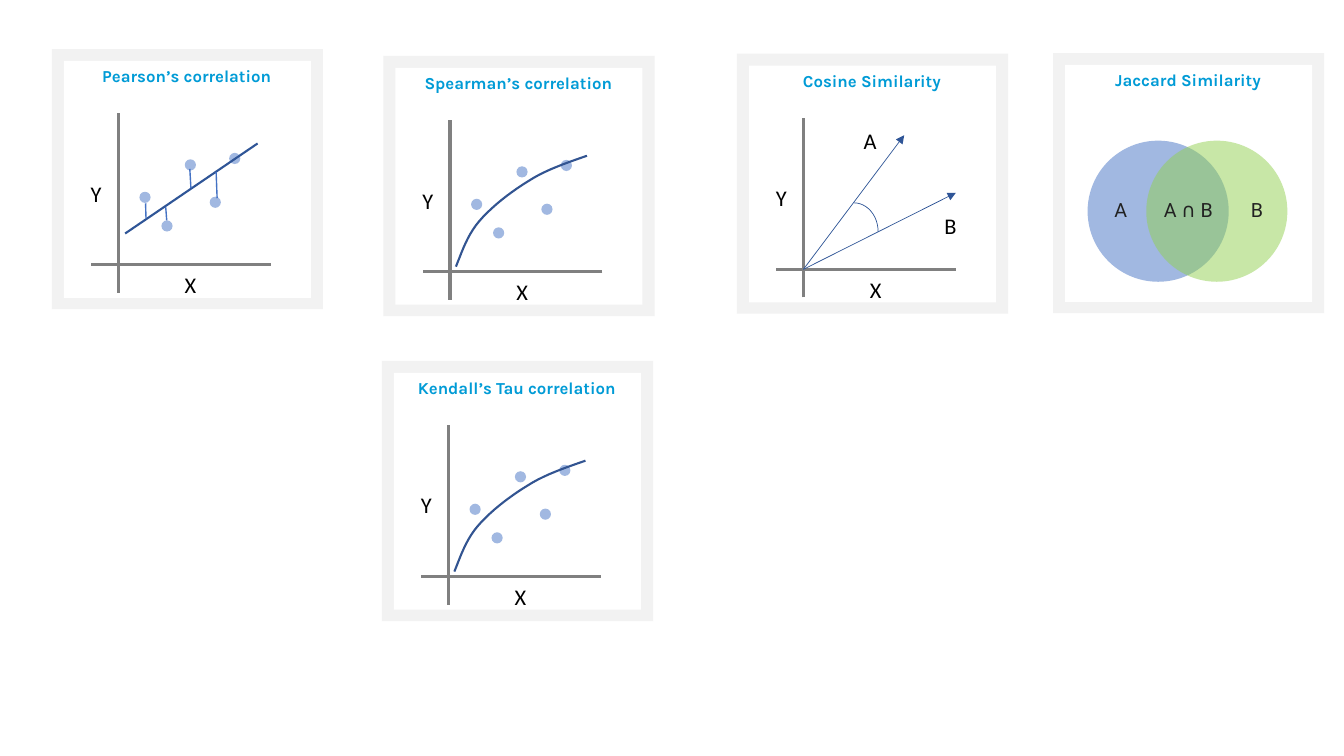
"""Build a slide of five cards on correlation and similarity measures."""
from lxml.etree import SubElement
from pptx import Presentation
from pptx.dml.color import RGBColor
from pptx.enum.shapes import MSO_CONNECTOR, MSO_SHAPE
from pptx.enum.text import PP_ALIGN
from pptx.oxml.ns import qn
from pptx.util import Pt

HUES = {
    "frame": "F2F2F2", "white": "FFFFFF", "title": "009BD6", "axis": "808080",
    "navy": "2F5597", "curve": "325491", "blue": "4472C4", "green": "92D050",
    "black": "000000", "ink": "222222",
}
CARD = (193.7, 185.8)
INNER = (176.4, 169.2)
ROOT = (47.5, 154.1)
DOTS = [(62.6, 102), (78.3, 122.4), (95, 78.8), (112.8, 105.5), (126.7, 74.2)]
GAPS = [((98.6, 85.7), (99.4, 99.4)), ((117.4, 87.8), (118.1, 106.6)),
        ((81.4, 113), (82.1, 122.4)), ((67, 110.2), (67.3, 121))]
BENDS = [
    ((51.8, 150.5), (56.2, 139.7), (59.8, 128.2), (68.4, 118.1)),
    ((68.4, 118.1), (77, 108), (90.7, 97.2), (103.7, 89.3)),
    ((103.7, 89.3), (115.9, 81.4), (131, 76.3), (145.4, 71.3)),
]
STEPS = 10


def tint(name):
    """Return the named colour."""
    return RGBColor.from_string(HUES[name])


def shift(box, spot):
    """Return a spot given relative to a box as slide lengths."""
    return Pt(box[0] + spot[0]), Pt(box[1] + spot[1])


def text(slide, box, spot, size, words, font="Calibri", points=16,
         hue="black", bold=False, align=PP_ALIGN.LEFT):
    """Add a text box with one formatted line."""
    frame = slide.shapes.add_textbox(*shift(box, spot), *map(Pt, size)).text_frame
    frame.word_wrap = True
    para = frame.paragraphs[0]
    para.alignment = align
    run = para.add_run()
    run.text = words
    run.font.name = font
    run.font.size = Pt(points)
    run.font.bold = bold
    run.font.color.rgb = tint(hue)


def solid(slide, box, kind, spot, size, hue, alpha=None):
    """Add a filled shape without outline, see-through if alpha is given."""
    shape = slide.shapes.add_shape(kind, *shift(box, spot), *map(Pt, size))
    shape.shadow.inherit = False
    shape.fill.solid()
    shape.fill.fore_color.rgb = tint(hue)
    shape.line.fill.background()
    if alpha:
        clr = shape.element.spPr.find(qn("a:solidFill")).find(qn("a:srgbClr"))
        SubElement(clr, qn("a:alpha"), val=str(alpha * 1000))


def stroke(shape, hue, width):
    """Give an open shape its line and no fill."""
    shape.shadow.inherit = False
    shape.fill.background()
    shape.line.color.rgb = tint(hue)
    shape.line.width = Pt(width)


def line(slide, box, start, end, hue, width, arrow=False):
    """Add a straight line, with an arrowhead at its end if asked."""
    link = slide.shapes.add_connector(
        MSO_CONNECTOR.STRAIGHT, *shift(box, start), *shift(box, end))
    link.line.color.rgb = tint(hue)
    link.line.width = Pt(width)
    props = link.element.spPr
    if arrow:
        SubElement(props.find(qn("a:ln")), qn("a:tailEnd"), type="triangle")
    SubElement(props, qn("a:effectLst"))


def card(slide, box, title):
    """Add the framed card and its title."""
    solid(slide, box, MSO_SHAPE.RECTANGLE, (0, 0), CARD, "frame")
    solid(slide, box, MSO_SHAPE.RECTANGLE, (8.6, 8.5), INNER, "white")
    text(slide, box, (8.2, 8.5), (INNER[0], 21.8), title, font="Karla", points=12,
         hue="title", bold=True, align=PP_ALIGN.CENTER)


def axes(slide, box):
    """Add both axes and their labels."""
    line(slide, box, (ROOT[0], 174.2), (ROOT[0], 45.7), "axis", 2.25)
    line(slide, box, (156.4, ROOT[1]), (28, ROOT[1]), "axis", 2.25)
    text(slide, box, (87.8, 155.2), (24.5, 26.6), "X")
    text(slide, box, (20.7, 89.8), (24.5, 26.6), "Y")


def dots(slide, box):
    """Add the scatter of data points."""
    for spot in DOTS:
        solid(slide, box, MSO_SHAPE.OVAL, spot, (8, 8), "blue", 50)


def linear(slide, box, title):
    """Draw a scatter with a straight fit and its residuals."""
    card(slide, box, title)
    axes(slide, box)
    dots(slide, box)
    line(slide, box, (52.4, 131.8), (147, 67.5), "navy", 1.5)
    for start, end in GAPS:
        line(slide, box, start, end, "blue", 1)


def bezier(bend, t):
    """Return the point at t on a cubic curve."""
    parts = ((1 - t) ** 3, 3 * t * (1 - t) ** 2, 3 * t * t * (1 - t), t ** 3)
    return tuple(sum(p * c for p, c in zip(parts, axis)) for axis in zip(*bend))


def curved(slide, box, title):
    """Draw a scatter with a curved fit."""
    card(slide, box, title)
    axes(slide, box)
    dots(slide, box)
    spots = [bezier(bend, i / STEPS) for bend in BENDS for i in range(1, STEPS + 1)]
    pen = slide.shapes.build_freeform(*shift(box, BENDS[0][0]))
    pen.add_line_segments([shift(box, spot) for spot in spots], close=False)
    stroke(pen.convert_to_shape(), "curve", 1.5)


def angle(slide, box, title):
    """Draw two vectors and the angle between them."""
    card(slide, box, title)
    axes(slide, box)
    for end in ((119.5, 58.3), (156.4, 99.4)):
        line(slide, box, ROOT, end, "navy", 0.5, arrow=True)
    arc = slide.shapes.add_shape(
        MSO_SHAPE.ARC, *shift(box, (66.2, 106.6)), Pt(34.6), Pt(41))
    stroke(arc, "navy", 0.5)
    text(slide, box, (83.5, 49), (24.5, 26.6), "A")
    text(slide, box, (141.1, 109.4), (24.5, 26.6), "B")


def venn(slide, box, title):
    """Draw two overlapping sets."""
    card(slide, box, title)
    for left, hue in ((24.7, "blue"), (66.6, "green")):
        solid(slide, box, MSO_SHAPE.OVAL, (left, 62.6), (100.8, 100.8), hue, 50)
    for left, width, words in ((36.2, 24.5, "A"), (133.4, 24.5, "B"),
                               (67.9, 57.6, "A ∩ B")):
        text(slide, box, (left, 99.6), (width, 24.5), words, font="Roboto",
             points=14, hue="ink", align=PP_ALIGN.CENTER)


def main():
    """Build and save the slide."""
    deck = Presentation()
    deck.slide_width, deck.slide_height = Pt(960), Pt(540)
    slide = deck.slides.add_slide(deck.slide_layouts[6])
    venn(slide, (752.2, 37.9), "Jaccard Similarity")
    angle(slide, (526.4, 38.3), "Cosine Similarity")
    linear(slide, (37, 35), "Pearson’s correlation")
    curved(slide, (273.9, 40), "Spearman’s correlation")
    curved(slide, (272.8, 257.8), "Kendall’s Tau correlation")
    deck.save("out.pptx")


if __name__ == "__main__":
    main()
